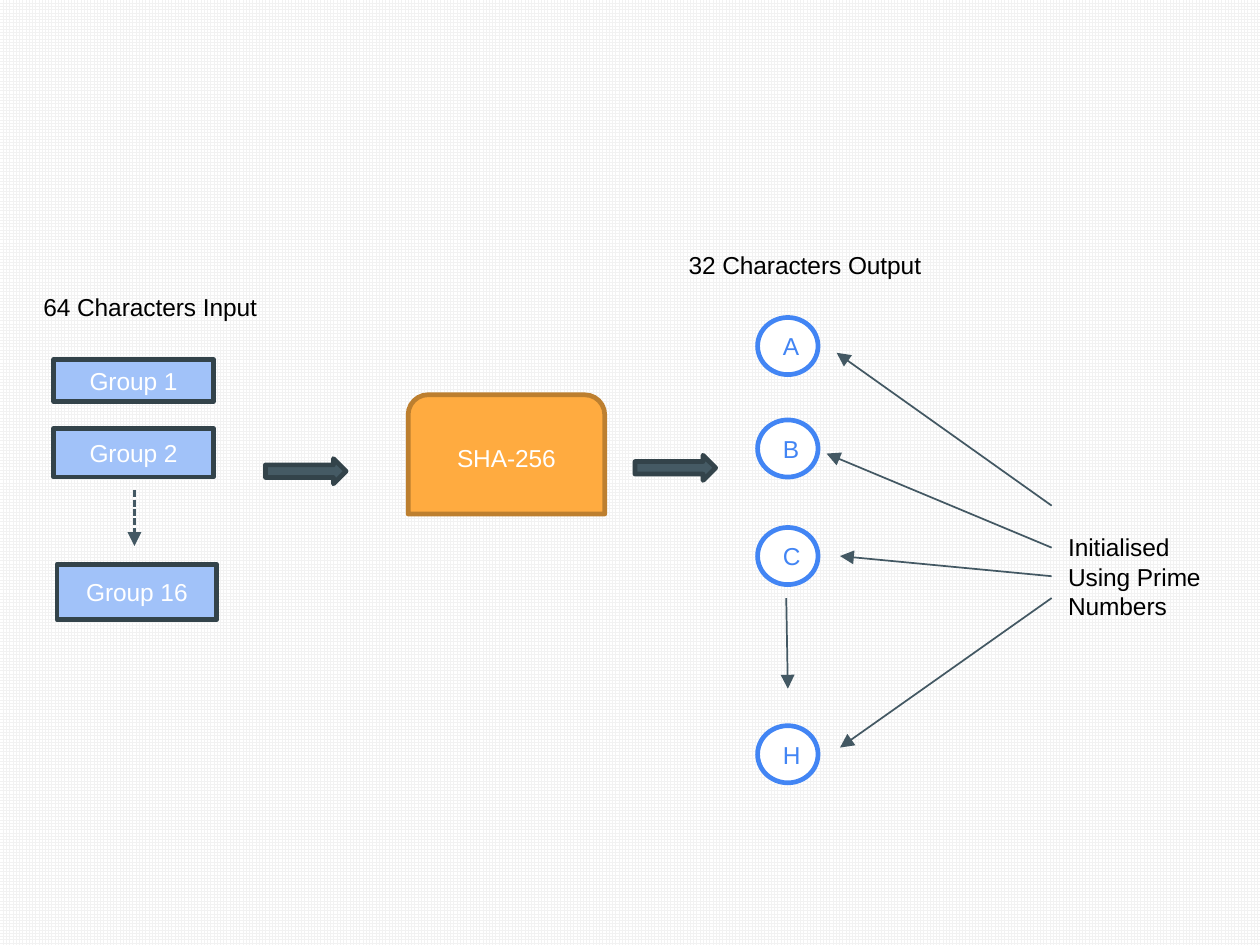
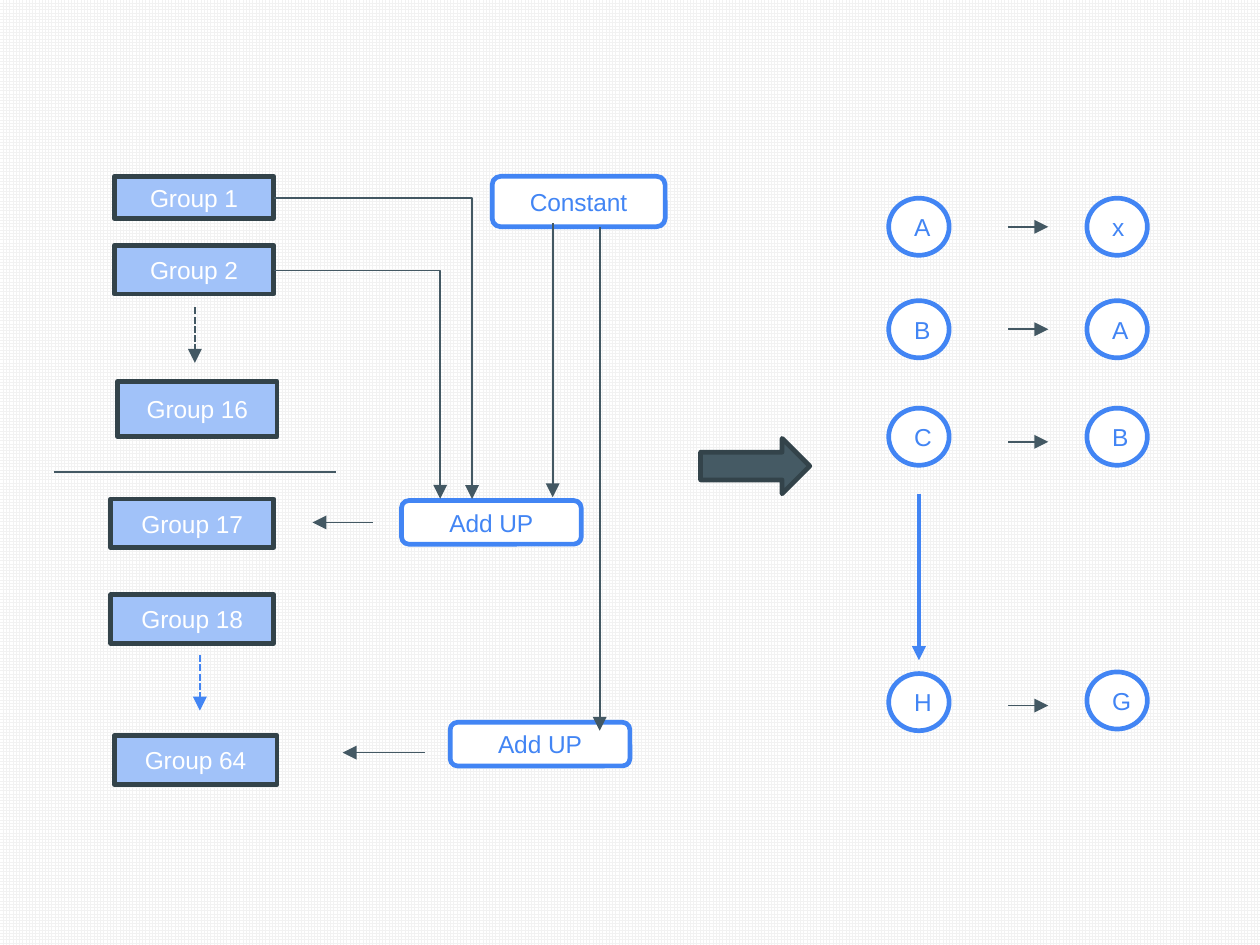
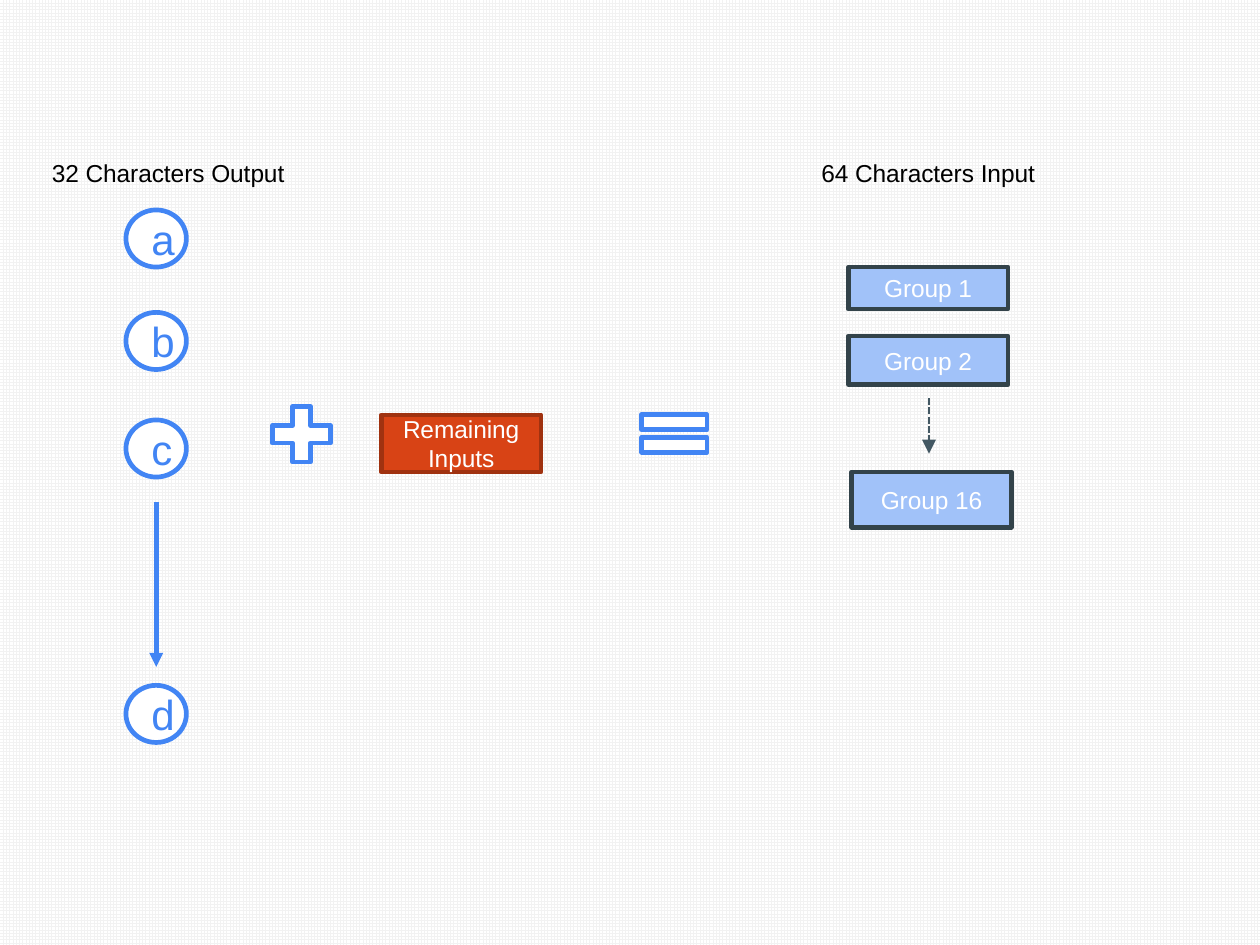
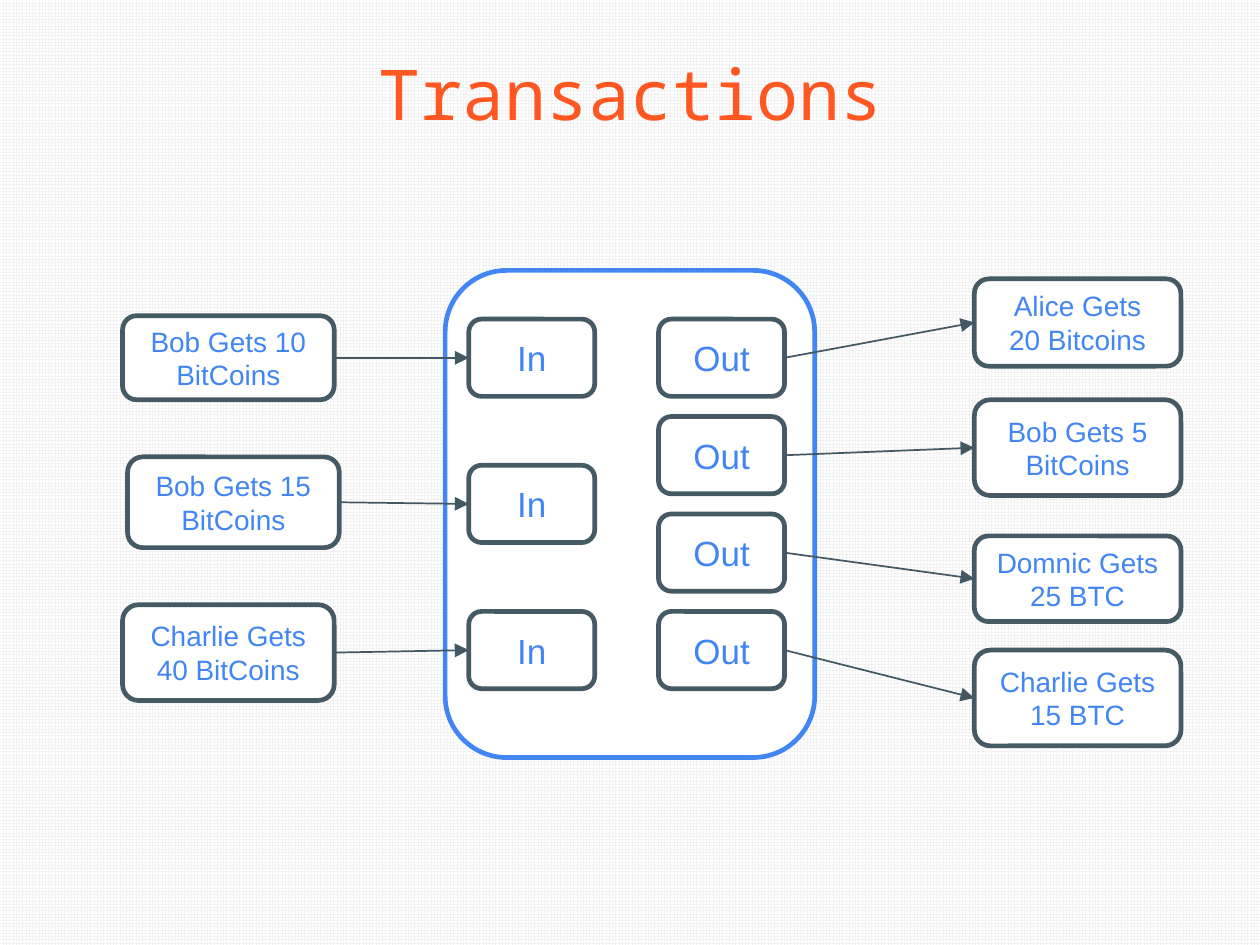
from pptx import Presentation
from pptx.dml.color import RGBColor
from pptx.enum.dml import MSO_LINE, MSO_PATTERN
from pptx.enum.shapes import MSO_CONNECTOR, MSO_SHAPE
from pptx.enum.text import PP_ALIGN
from pptx.oxml.ns import qn
from pptx.util import Inches, Pt
from lxml import etree

RECT, ROUNDED, OVAL = MSO_SHAPE.RECTANGLE, MSO_SHAPE.ROUNDED_RECTANGLE, MSO_SHAPE.OVAL
TABBED, BLOCK_ARROW = MSO_SHAPE.ROUND_2_SAME_RECTANGLE, MSO_SHAPE.RIGHT_ARROW
PLUS, EQUAL = MSO_SHAPE.MATH_PLUS, MSO_SHAPE.MATH_EQUAL
STRAIGHT, ELBOW = MSO_CONNECTOR.STRAIGHT, MSO_CONNECTOR.ELBOW
CENTER, SYS_DASH = PP_ALIGN.CENTER, MSO_LINE.SQUARE_DOT
LEFT_SITE, RIGHT_SITE = 1, 3

BODY_FONT, TITLE_FONT = "Arial", "Noto Sans Mono"
COLORS = {
    "white": "FFFFFF", "black": "000000", "grid": "F2F2F2", "title": "FF5722",
    "blue": "4285F4", "pale_blue": "A1C2F9", "slate": "455A64", "dark_slate": "33434A",
    "connector": "435863", "orange": "FFAB40", "brown": "BD7F2F",
    "red": "D84315", "dark_red": "A03210",
}
# style: fill, outline, text
STYLES = {
    "group": ("pale_blue", "dark_slate", "white"),
    "outline": ("white", "blue", "blue"),
    "card": ("white", "slate", "blue"),
    "hash": ("orange", "brown", "white"),
    "rest": ("red", "dark_red", "white"),
    "flow": ("slate", "dark_slate", "white"),
}

INPUT_LABEL, OUTPUT_LABEL = "64 Characters Input", "32 Characters Output"
# text, left offset, top offset, height
INPUT_GROUPS = [("Group 1", 0, 0, 0.25), ("Group 2", 0, 0.41, 0.29), ("Group 16", 0.02, 1.22, 0.33)]

# start, end
PRIME_ARROWS = [((6.26, 3.01), (4.98, 2.1)), ((6.26, 3.26), (4.92, 2.7)),
                ((6.26, 3.43), (5, 3.31)), ((6.26, 3.56), (5, 4.45))]

EXTRA_GROUPS = [("Group 17", 0.66, 2.97), ("Group 18", 0.66, 3.54), ("Group 64", 0.68, 4.38)]
ADDERS = [("Constant", 2.93, 1.05, 1.03, 0.3), ("Add UP", 2.39, 2.98, 1.07, 0.26),
          ("Add UP", 2.68, 4.3, 1.07, 0.26)]
ADDER_ARROWS = [((3.29, 1.33), (3.29, 2.96)), ((2.22, 3.11), (1.86, 3.11)),
                ((2.53, 4.48), (2.04, 4.48)), ((3.57, 1.35), (3.57, 4.35))]
GROUP_ELBOWS = [((1.63, 1.18), (2.81, 2.97)), ((1.63, 1.61), (2.62, 2.97))]
SHIFT_ARROW_TOPS = [1.35, 1.96, 2.63, 4.2]

# text, left, top, height
PAYMENTS_IN = [("Bob Gets 10 BitCoins", 0.73, 1.88, 0.5), ("Bob Gets 15 BitCoins", 0.76, 2.72, 0.54),
               ("Charlie Gets 40 BitCoins", 0.73, 3.6, 0.57)]
PAYMENTS_OUT = [("Alice Gets 20 Bitcoins", 5.8, 1.66, 0.52), ("Bob Gets 5 BitCoins", 5.8, 2.38, 0.57),
                ("Domnic Gets 25 BTC", 5.8, 3.19, 0.51), ("Charlie Gets 15 BTC", 5.8, 3.87, 0.57)]


def color(name):
    return RGBColor.from_string(COLORS[name])


def write(shape, text, size, color_name, font=BODY_FONT, align=None):
    frame = shape.text_frame
    frame.word_wrap = True
    frame.text = text
    para = frame.paragraphs[0]
    para.alignment = align
    for span in para.runs:
        span.font.size, span.font.name = Pt(size), font
        span.font.color.rgb = color(color_name)


def add_box(page, kind, style, place, text="", size=10.5):
    fill, outline, ink = STYLES[style]
    box = page.shapes.add_shape(kind, *map(Inches, place))
    box.shadow.inherit = False
    box.fill.solid()
    box.fill.fore_color.rgb = color(fill)
    box.line.color.rgb = color(outline)
    box.line.width = Pt(2)
    if text:
        write(box, text, size, ink, align=CENTER)
    return box


def add_label(page, text, left, top, width=1.72, height=0.28):
    label = page.shapes.add_textbox(*map(Inches, (left, top, width, height)))
    write(label, text, 10.5, "black")


def add_line(page, start, end, color_name="connector", width=0.75, dash=None, head=True, kind=STRAIGHT):
    line = page.shapes.add_connector(kind, *map(Inches, (*start, *end)))
    line.line.color.rgb = color(color_name)
    line.line.width = Pt(width)
    if dash:
        line.line.dash_style = dash
    properties = line.element.spPr
    if head:
        etree.SubElement(properties.find(qn("a:ln")), qn("a:tailEnd"), type="triangle")
    etree.SubElement(properties, qn("a:effectLst"))
    if kind == ELBOW:  # a single right-angle turn
        properties.find(qn("a:prstGeom")).set("prst", "bentConnector2")
    return line


def add_dashed_arrow(page, left, top, color_name="connector"):
    add_line(page, (left, top), (left, top + 0.33), color_name, 1, SYS_DASH)


def add_input_groups(page, left, top):
    for text, across, down, height in INPUT_GROUPS:
        add_box(page, RECT, "group", (left + across, top + down, 0.95, height), text)
    add_dashed_arrow(page, left + 0.48, top + 0.78)


def add_circles(page, letters, left, top, last, size=10.5):
    """Stack four circles; last is the offset of the bottom one."""
    for letter, down in zip(letters, (0, 0.61, 1.25, last)):
        add_box(page, OVAL, "outline", (left, top + down, 0.36, 0.34), letter, size)


def build_overview(page):
    add_input_groups(page, 0.32, 2.14)
    add_label(page, INPUT_LABEL, 0.16, 1.69)
    add_circles(page, "ABCH", 4.51, 1.89, 2.43)
    add_label(page, OUTPUT_LABEL, 4, 1.44)
    add_line(page, (4.68, 3.56), (4.69, 4.1))
    for start, end in PRIME_ARROWS:
        add_line(page, start, end)
    add_label(page, "Initialised Using Prime Numbers", 6.26, 3.12, 1.17, 0.63)
    add_box(page, TABBED, "hash", (2.43, 2.35, 1.17, 0.71), "SHA-256")
    for left, top in ((1.58, 2.73), (3.78, 2.71)):
        add_box(page, BLOCK_ARROW, "flow", (left, top, 0.48, 0.15))


def build_rounds(page):
    add_input_groups(page, 0.68, 1.05)
    for text, left, top in EXTRA_GROUPS:
        add_box(page, RECT, "group", (left, top, 0.97, 0.29), text)
    add_dashed_arrow(page, 1.19, 3.9, "blue")
    for text, *place in ADDERS:
        add_box(page, ROUNDED, "outline", place, text)
    add_circles(page, "ABCH", 5.29, 1.18, 2.83)
    add_line(page, (5.47, 2.94), (5.47, 3.93), "blue", 2)
    add_circles(page, "xABG", 6.47, 1.18, 2.82)
    for top in SHIFT_ARROW_TOPS:
        add_line(page, (6, top), (6.24, top))
    add_line(page, (0.32, 2.81), (2, 2.81), head=False)
    for start, end in GROUP_ELBOWS:
        add_line(page, start, end, kind=ELBOW)
    for start, end in ADDER_ARROWS:
        add_line(page, start, end)
    add_box(page, BLOCK_ARROW, "flow", (4.17, 2.61, 0.65, 0.33))


def build_next_input(page):
    add_circles(page, "abcd", 0.75, 1.25, 2.83, 18)
    add_line(page, (0.93, 2.99), (0.93, 3.97), "blue", 2)
    add_label(page, OUTPUT_LABEL, 0.21, 0.89)
    add_input_groups(page, 5.05, 1.59)
    add_label(page, INPUT_LABEL, 4.79, 0.89)
    add_box(page, PLUS, "outline", (1.56, 2.36, 0.47, 0.45))
    add_box(page, RECT, "rest", (2.27, 2.47, 0.95, 0.34), "Remaining Inputs")
    add_box(page, EQUAL, "outline", (3.75, 2.39, 0.53, 0.38))


def build_transactions(page):
    title = page.shapes.add_textbox(*map(Inches, (0.26, 0.2, 6.99, 0.47)))
    write(title, "Transactions", 30, "title", TITLE_FONT, CENTER)
    title.text_frame.margin_top = title.text_frame.margin_bottom = Inches(0.1)
    add_box(page, ROUNDED, "outline", (2.65, 1.61, 2.2, 2.9))
    # port text, left, step between ports, payments, their width
    sides = [("In", 2.79, 0.87, PAYMENTS_IN, 1.26), ("Out", 3.92, 0.58, PAYMENTS_OUT, 1.23)]
    for port_text, port_left, step, payments, width in sides:
        for row, (text, left, top, height) in enumerate(payments):
            port = add_box(page, ROUNDED, "card", (port_left, 1.9 + row * step, 0.75, 0.46), port_text, 15)
            payment = add_box(page, ROUNDED, "card", (left, top, width, height), text, 12)
            source, target = (payment, port) if port_text == "In" else (port, payment)
            arrow = add_line(page, (0, 0), (1, 1))
            arrow.begin_connect(source, RIGHT_SITE)
            arrow.end_connect(target, LEFT_SITE)


def main():
    deck = Presentation()
    deck.slide_width = Inches(7.5)
    deck.slide_height = deck.slide_width * 3 // 4
    backdrop = deck.slide_master.background.fill
    backdrop.patterned()
    backdrop.pattern = MSO_PATTERN.SMALL_GRID
    backdrop.fore_color.rgb = color("grid")
    backdrop.back_color.rgb = color("white")
    for build in (build_overview, build_rounds, build_next_input, build_transactions):
        build(deck.slides.add_slide(deck.slide_layouts[6]))
    deck.save("out.pptx")


if __name__ == "__main__":
    main()
